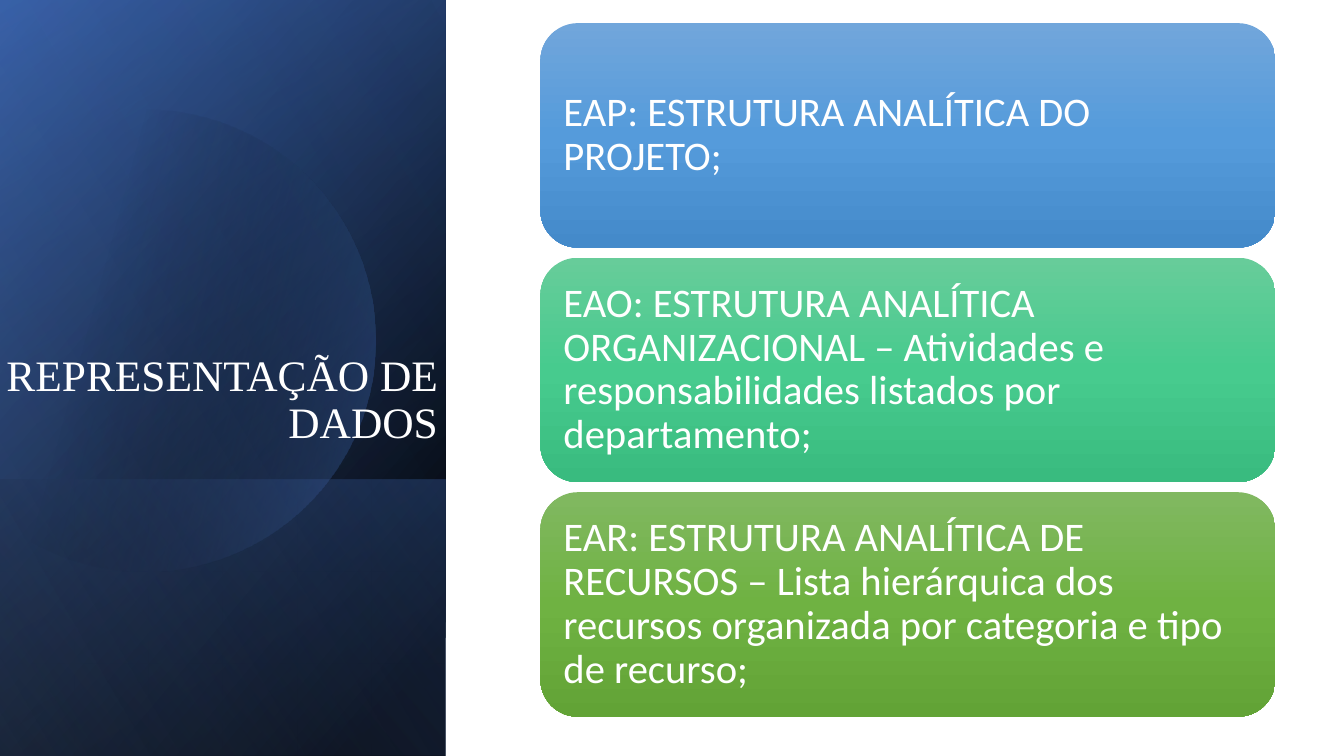
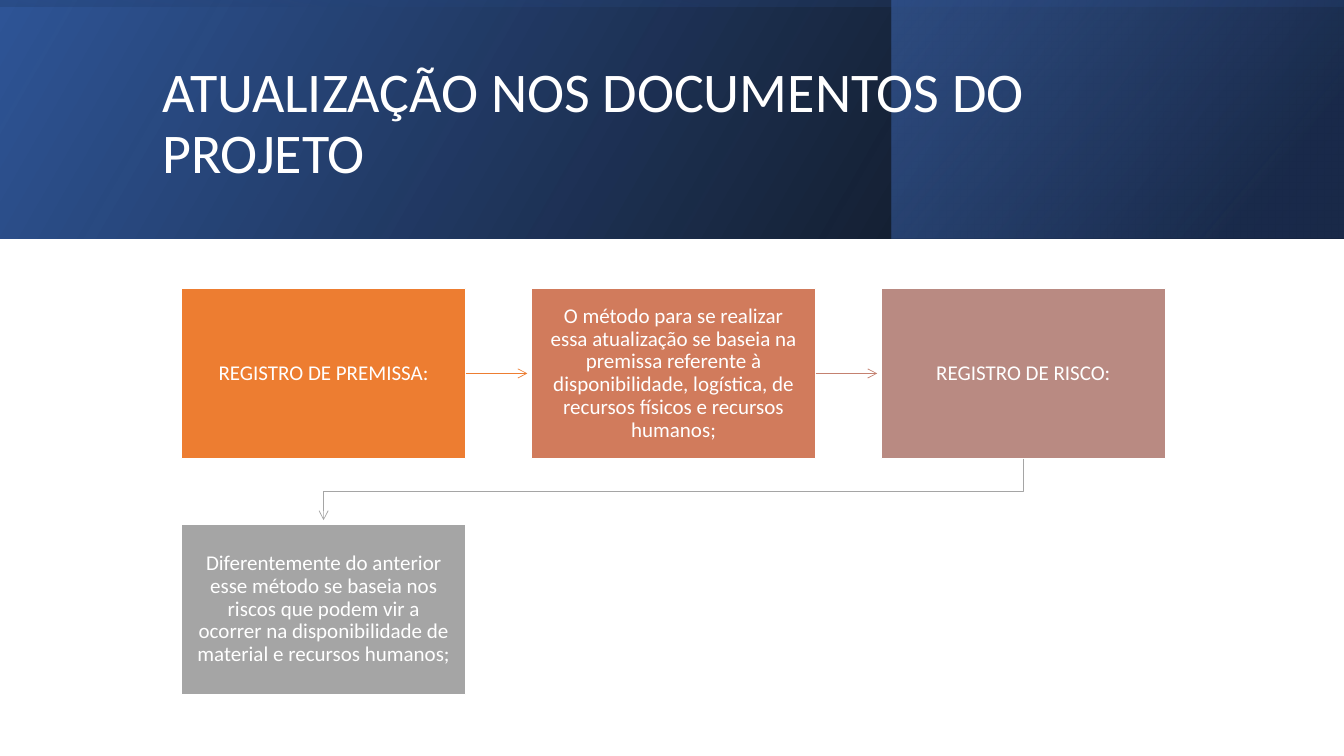
from math import acos, cos, sin
from pptx import Presentation
from pptx.dml.color import RGBColor
from pptx.enum.shapes import MSO_CONNECTOR, MSO_SHAPE
from pptx.enum.text import MSO_ANCHOR as Anchor, PP_ALIGN as Align
from pptx.oxml import parse_xml
from pptx.oxml.ns import nsdecls, qn
from pptx.util import Inches, Pt

SLIDE_W, SLIDE_H = 13.33, 7.5
WHITE, BLACK = "FFFFFF", "000000"
NAVY, BLUE, PALE_BLUE, DEEP_BLUE = "2F5597", "4472C4", "8FAADC", "203864"
SANS, SERIF = "Calibri", "Times New Roman"


def color(hex_string):
    return RGBColor.from_string(hex_string)


# Shared helpers
def set_gradient(shape, stops, angle):
    """Each stop is (position %, colour) or (position %, colour, opacity %)."""
    marks = "".join(
        f'<a:gs pos="{pos * 1000}"><a:srgbClr val="{tone}">'
        f'<a:alpha val="{(opacity or [100])[0] * 1000}"/></a:srgbClr></a:gs>'
        for pos, tone, *opacity in stops)
    gradient = parse_xml(
        f'<a:gradFill {nsdecls("a")} rotWithShape="1"><a:gsLst>{marks}</a:gsLst>'
        f'<a:lin ang="{angle * 60000}" scaled="0"/></a:gradFill>')
    shape.fill.background()
    properties = shape._element.spPr
    properties.replace(properties.find(qn("a:noFill")), gradient)


def add_box(slide, box, kind=MSO_SHAPE.RECTANGLE):
    shape = slide.shapes.add_shape(kind, *map(Inches, box))
    shape.shadow.inherit = False
    shape.line.fill.background()
    return shape


def add_outline(slide, points, close):
    """Freeform through points given in inches."""
    start, *others = [(Inches(x), Inches(y)) for x, y in points]
    builder = slide.shapes.build_freeform(*start)
    builder.add_line_segments(others, close=close)
    outline = builder.convert_to_shape()
    outline.shadow.inherit = False
    return outline


def add_wash(slide, box, stops, angle, turn=0):
    """Mirrored gradient layer that covers box once it is turned."""
    x, y, w, h = box
    if turn in (90, 270):
        x, y, w, h = x + (w - h) / 2, y + (h - w) / 2, h, w
    wash = add_box(slide, (x, y, w, h))
    wash.rotation = turn
    wash._element.spPr.xfrm.set("flipH", "1")
    set_gradient(wash, stops, angle)


def set_text(shape, text, size, font=SANS, align=Align.LEFT,
             anchor=Anchor.MIDDLE, insets=(0.1, 0.05)):
    frame = shape.text_frame
    frame.word_wrap = True
    frame.vertical_anchor = anchor
    frame.margin_left = frame.margin_right = Inches(insets[0])
    frame.margin_top = frame.margin_bottom = Inches(insets[1])
    frame.text = text
    paragraph = frame.paragraphs[0]
    paragraph.alignment = align
    paragraph.line_spacing = 0.9
    letters = paragraph.runs[0].font
    letters.size, letters.name = Pt(size), font
    letters.color.rgb = color(WHITE)


def add_title(slide, box, text, size, **style):
    set_text(slide.shapes.add_textbox(*map(Inches, box)), text, size, **style)


def style_arrow(arrow, tone):
    arrow.line.color.rgb = color(tone)
    arrow.line.width = Pt(0.5)
    arrow.line._get_or_add_ln().append(
        parse_xml(f'<a:tailEnd {nsdecls("a")} type="arrow"/>'))


# Slide 1: side panel and stacked cards
def add_side_panel(slide, box, title):
    x, y, w, h = box
    add_wash(slide, box, [(8, BLACK), (100, NAVY)], 50, 90)
    add_wash(slide, box, [(0, BLACK, 0), (99, BLUE, 46)], 30, 90)
    add_wash(slide, (x, y + 4.76, w, h - 4.76),
             [(2, BLUE, 29), (100, BLACK, 30)], 130, 90)
    add_disc(slide, x, x + 1.43, y + 3.38, 2.29)
    add_wash(slide, box, [(0, BLACK, 0), (99, PALE_BLUE, 11)], 120, 90)
    add_title(slide, (x - 0.13, y + 1.87, w + 0.15, 2.62), title, 31,
              font=SERIF, align=Align.RIGHT, anchor=Anchor.BOTTOM)


def add_disc(slide, left_edge, center_x, center_y, radius):
    """Disc cut off at the left edge of the panel."""
    reach = acos((left_edge - center_x) / radius)
    steps = 90
    angles = [reach * (2 * i / steps - 1) for i in range(steps + 1)]
    rim = [(center_x + radius * cos(a), center_y + radius * sin(a)) for a in angles]
    disc = add_outline(slide, rim, close=True)
    disc.line.fill.background()
    set_gradient(disc, [(29, BLACK, 0), (100, BLUE, 43)], 15)


def add_cards(slide, box, cards, gap=0.1):
    x, y, w, h = box
    card_h = (h - gap * (len(cards) - 1)) / len(cards)
    for i, (text, tones) in enumerate(cards):
        card = add_box(slide, (x, y + i * (card_h + gap), w, card_h),
                       MSO_SHAPE.ROUNDED_RECTANGLE)
        set_gradient(card, list(zip((0, 50, 100), tones)), 90)
        set_text(card, text, 29, insets=(0.12, 0.12))


def build_data_slide(slide):
    add_side_panel(slide, (0, 0, 4.42, SLIDE_H), "REPRESENTAÇÃO DE DADOS")
    add_cards(slide, (5.36, 0.23, 7.29, 6.88), [
        ("EAP: ESTRUTURA ANALÍTICA DO PROJETO;",
         ("71A6DB", "559BDB", "448ACA")),
        ("EAO: ESTRUTURA ANALÍTICA ORGANIZACIONAL – Atividades e "
         "responsabilidades listados por departamento;",
         ("67CC9A", "47CB8E", "39BB7F")),
        ("EAR: ESTRUTURA ANALÍTICA DE RECURSOS – Lista hierárquica dos "
         "recursos organizada por categoria e tipo de recurso;",
         ("81B861", "6FB242", "62A336")),
    ])


# Slide 2: title band and step flow
def add_title_band(slide, box, title):
    x, y, w, h = box
    add_wash(slide, box, [(0, BLACK, 96), (100, NAVY)], 330)
    add_wash(slide, (x + 8.84, y, w - 8.84, h),
             [(19, DEEP_BLUE, 68), (100, BLUE, 48)], 320)
    add_wash(slide, box, [(23, NAVY, 16), (99, BLACK, 45)], 350, 270)
    add_title(slide, (x + 1.51, y + 0.38, 10.63, 1.72), title, 40)


def add_flow(slide, box, steps, arrow_tones, columns=3):
    x, y, w, h = box
    step_w, step_h = 2.82, 1.69
    pitch_x, pitch_y = (w - step_w) / (columns - 1), h - step_h
    tip_gap = 0.04
    places, blocks = [], []
    for i, (text, tone) in enumerate(steps):
        row, column = divmod(i, columns)
        place = (x + column * pitch_x, y + row * pitch_y)
        block = add_box(slide, (*place, step_w, step_h))
        block.fill.solid()
        block.fill.fore_color.rgb = color(tone)
        block.line.color.rgb = color(WHITE)
        block.line.width = Pt(1)
        set_text(block, text, 15, align=Align.CENTER, insets=(0.14, 0.15))
        places.append(place)
        blocks.append(block)

    for i, tone in enumerate(arrow_tones):
        (from_x, from_y), (to_x, to_y) = places[i:i + 2]
        if from_y == to_y:
            middle = from_y + step_h / 2
            arrow = slide.shapes.add_connector(
                MSO_CONNECTOR.STRAIGHT,
                *map(Inches, (from_x + step_w, middle, to_x - tip_gap, middle)))
            arrow.begin_connect(blocks[i], 3)
            style_arrow(arrow, tone)
            arrow._element.spPr.append(parse_xml(f'<a:effectLst {nsdecls("a")}/>'))
        else:
            # Return line to the start of the next row
            start_x, end_x = from_x + step_w / 2, to_x + step_w / 2
            start_y = from_y + step_h
            bend_y = (start_y + to_y) / 2
            arrow = add_outline(
                slide, [(start_x, start_y), (start_x, bend_y),
                        (end_x, bend_y), (end_x, to_y - tip_gap)], close=False)
            arrow.fill.background()
            style_arrow(arrow, tone)


def build_update_slide(slide):
    add_title_band(slide, (0, 0, SLIDE_W, 2.37),
                   "ATUALIZAÇÃO NOS DOCUMENTOS DO PROJETO")
    add_flow(slide, (1.8, 2.86, 9.76, 4.03), [
        ("REGISTRO DE PREMISSA:", "ED7D31"),
        ("O método para se realizar essa atualização se baseia na premissa "
         "referente à disponibilidade, logística, de recursos físicos e "
         "recursos humanos;", "D17B5C"),
        ("REGISTRO DE RISCO:", "B98A82"),
        ("Diferentemente do anterior esse método se baseia nos riscos que "
         "podem vir a ocorrer na disponibilidade de material e recursos "
         "humanos;", "A5A5A5"),
    ], ("ED7D31", "C48170", "A5A5A5"))


def main():
    deck = Presentation()
    deck.slide_width, deck.slide_height = Inches(SLIDE_W), Inches(SLIDE_H)
    blank = deck.slide_layouts[6]
    for build in (build_data_slide, build_update_slide):
        build(deck.slides.add_slide(blank))
    deck.save("out.pptx")


if __name__ == "__main__":
    main()
